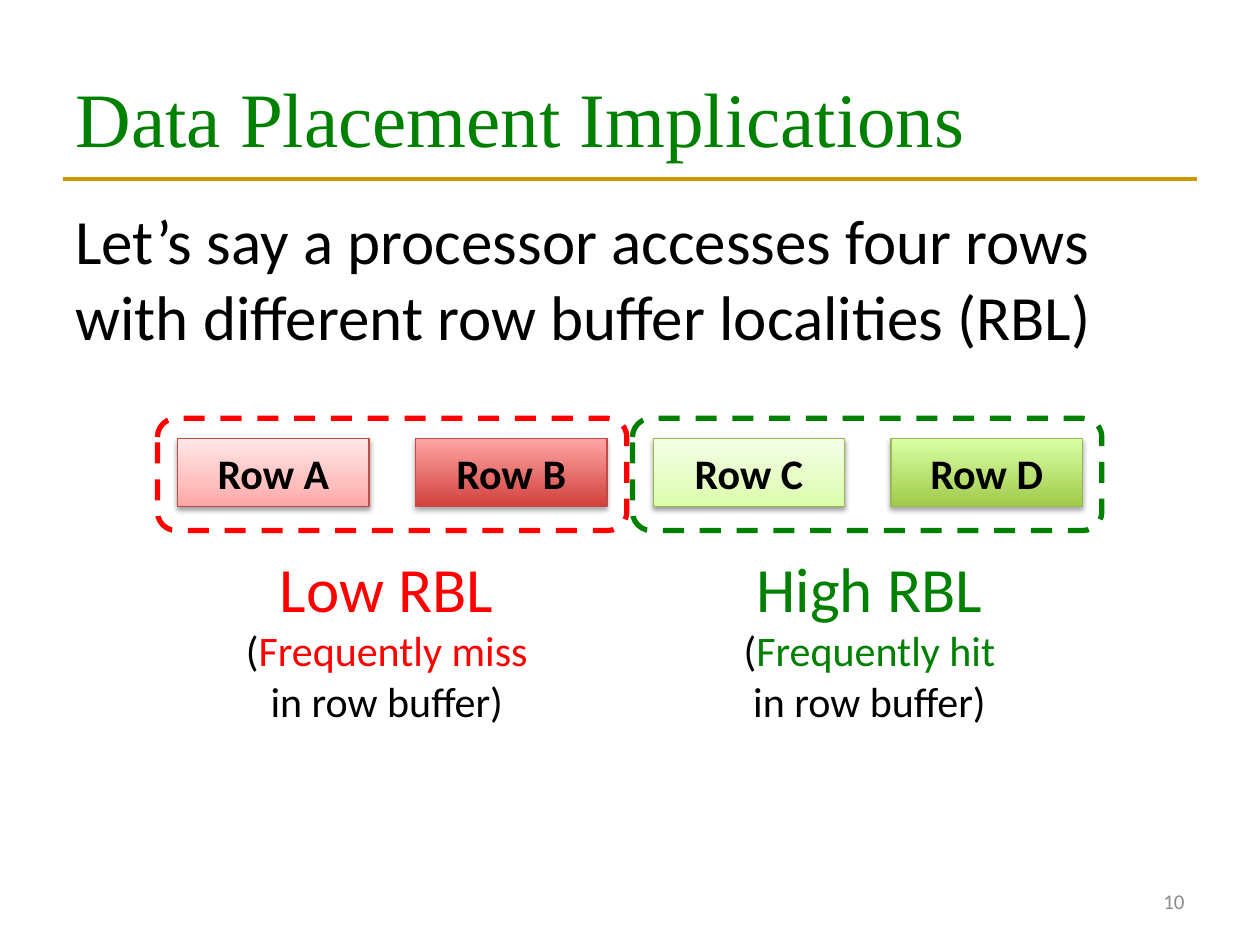
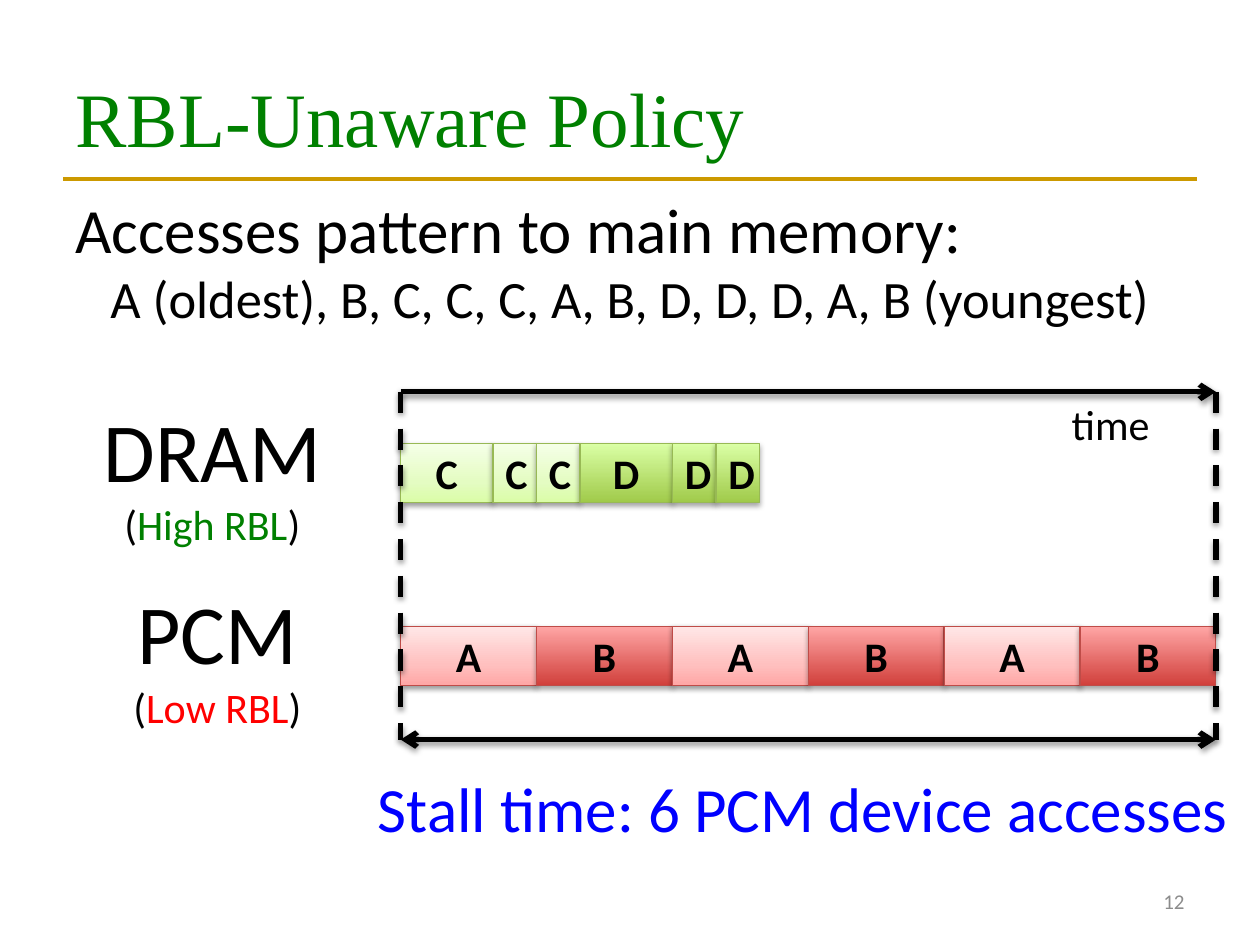
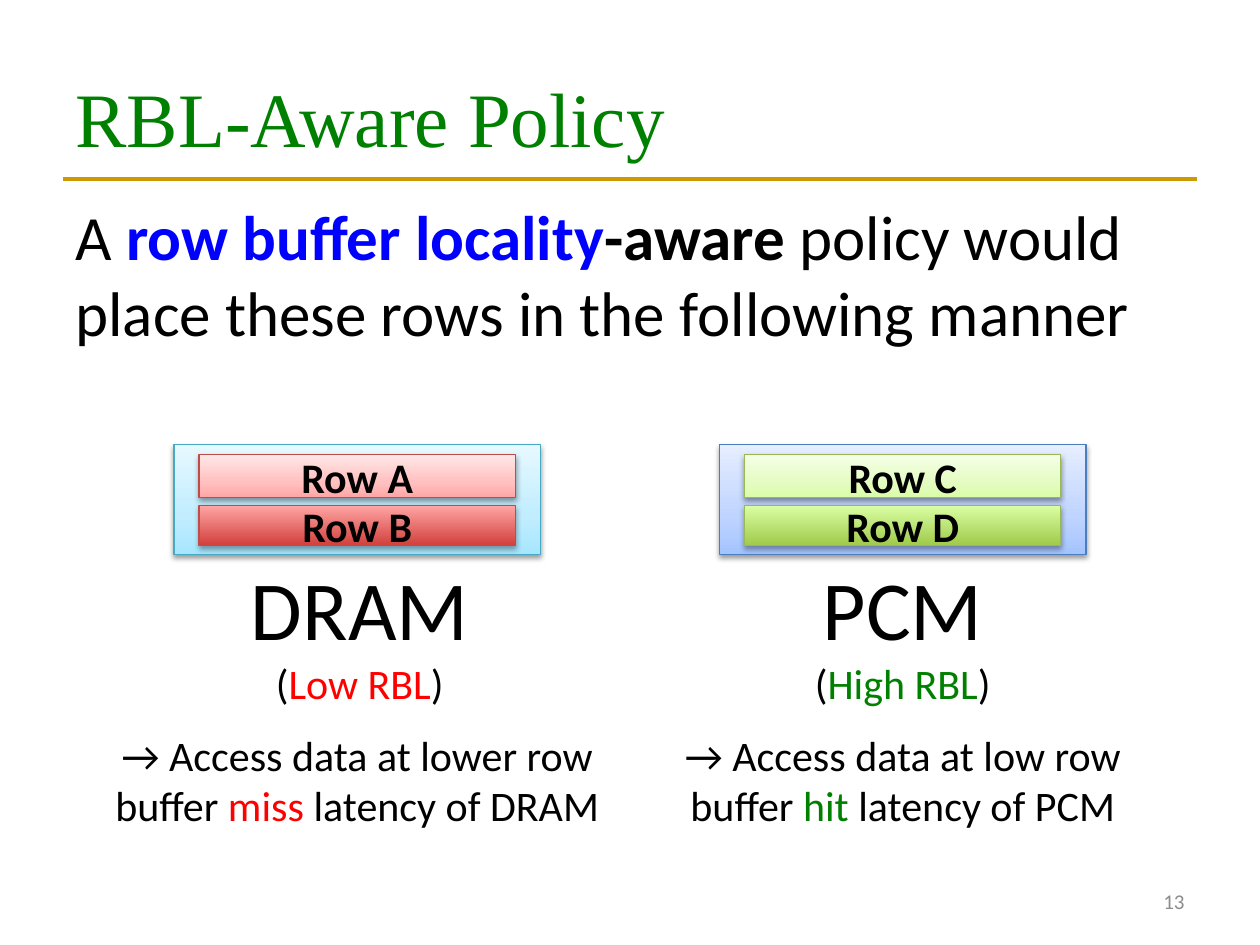
from itertools import accumulate

from lxml.etree import SubElement
from pptx import Presentation
from pptx.dml.color import RGBColor
from pptx.enum.dml import MSO_LINE
from pptx.enum.shapes import MSO_CONNECTOR, MSO_SHAPE
from pptx.enum.text import MSO_ANCHOR, MSO_AUTO_SIZE, PP_ALIGN
from pptx.oxml.ns import qn
from pptx.util import Inches, Pt

COLS, ROWS = 100, 75
CELL = Inches(10) // COLS

COLORS = {
    "text": "000000", "green": "008000", "red": "FF0000", "blue": "0000FF",
    "gold": "CC9900", "gray": "8C8C8C",
    "red line": "BF4C48", "green line": "98B955", "cyan line": "46AAC5", "blue line": "4B7EBC",
}
SOFT, STRONG = (38, 1.6), (35, 1.8)
STYLES = {
    "A": ("red line", SOFT, {0: "FFA6A5", 35: "FFC0BF", 100: "FFE7E7"}),
    "B": ("red line", STRONG, {0: "D1403C", 100: "FFA6A5"}),
    "C": ("green line", SOFT, {0: "DAFDA7", 35: "E4FCC2", 100: "F5FFE7"}),
    "D": ("green line", STRONG, {0: "A0CA4A", 100: "DAFFA5"}),
    "DRAM": ("cyan line", SOFT, {0: "A7E6FF", 35: "C1EDFF", 100: "E7F8FF"}),
    "PCM": ("blue line", SOFT, {0: "A4C4FF", 35: "BFD4FF", 100: "E6EEFF"}),
}
LEFT, CENTER, RIGHT = PP_ALIGN.LEFT, PP_ALIGN.CENTER, PP_ALIGN.RIGHT


def cells(*lengths):
    """Turn grid cells into slide lengths."""
    return [round(n * CELL) for n in lengths]


def rgb(name):
    """Look up a named colour."""
    return RGBColor.from_string(COLORS[name])


def write(p, text, size=24, color="text", bold=False, font="Calibri", align=None):
    """Append formatted text to a paragraph, breaking lines at newlines."""
    if align is not None:
        p.alignment = align
    for i, line in enumerate(text.split("\n")):
        if i:
            p.add_line_break()
        if line:
            r = p.add_run()
            r.text = line
            r.font.size, r.font.bold, r.font.name = Pt(size), bold, font
            r.font.color.rgb = rgb(color)


def add_text(sp_tree, at, paragraphs, align=LEFT, wrap=False, anchor=MSO_ANCHOR.TOP):
    """Add a text box of paragraphs, each a list of (text, format) runs."""
    tf = sp_tree.add_textbox(*cells(*at)).text_frame
    tf.word_wrap, tf.vertical_anchor = wrap, anchor
    tf.auto_size = MSO_AUTO_SIZE.SHAPE_TO_FIT_TEXT
    for i, runs in enumerate(paragraphs):
        p = tf.add_paragraph() if i else tf.paragraphs[0]
        for text, style in runs:
            write(p, text, align=align, **style)


def add_shadow(s, strength=None):
    """Replace the theme shadow with none or with a soft drop shadow."""
    effects = SubElement(s._element.spPr, qn("a:effectLst"))
    if strength:
        alpha, distance = strength
        shadow = SubElement(effects, qn("a:outerShdw"), blurRad=str(Pt(3.1)),
                            dist=str(Pt(distance)), dir="5400000", rotWithShape="0")
        color = SubElement(shadow, qn("a:srgbClr"), val="000000")
        SubElement(color, qn("a:alpha"), val=str(alpha * 1000))


def add_block(s, at, style, label=""):
    """Add a gradient rectangle with a bold label."""
    line, strength, stops = STYLES[style]
    sp = s.shapes.add_shape(MSO_SHAPE.RECTANGLE, *cells(*at))
    sp.fill.gradient()
    sp.fill.gradient_angle = 90
    stop_list = sp._element.spPr.find(".//" + qn("a:gsLst"))
    for old in list(stop_list):
        stop_list.remove(old)
    for pos, color in stops.items():
        stop = SubElement(stop_list, qn("a:gs"), pos=str(pos * 1000))
        SubElement(stop, qn("a:srgbClr"), val=color)
    sp.line.color.rgb, sp.line.width = rgb(line), Pt(0.75)
    add_shadow(sp, strength)
    if label:
        write(sp.text_frame.paragraphs[0], label, bold=True, align=CENTER)


def add_group_frame(s, at, color):
    """Add a dashed rounded frame around a pair of rows."""
    sp = s.shapes.add_shape(MSO_SHAPE.ROUNDED_RECTANGLE, *cells(*at))
    sp.fill.background()
    sp.line.color.rgb, sp.line.width = rgb(color), Pt(3)
    sp.line.dash_style = MSO_LINE.DASH
    add_shadow(sp)


def add_line(s, ends, color="text", width=3, dash=False, arrows=(), strength=SOFT):
    """Add a straight line with optional dashes and arrowheads."""
    c = s.shapes.add_connector(MSO_CONNECTOR.STRAIGHT, *cells(*ends))
    c.line.color.rgb, c.line.width = rgb(color), Pt(width)
    if dash:
        c.line.dash_style = MSO_LINE.DASH
    for end in arrows:
        SubElement(c.line._get_or_add_ln(), qn(f"a:{end}End"), type="arrow")
    add_shadow(c, strength)


def add_slide(prs, title, number):
    """Add a slide with the shared title, rule and page number."""
    s = prs.slides.add_slide(prs.slide_layouts[5])
    sp = s.shapes.title
    sp.left, sp.top, sp.width, sp.height = cells(5, 3, 90, 12.5)
    sp.text_frame.vertical_anchor = MSO_ANCHOR.MIDDLE
    sp.text_frame.auto_size = MSO_AUTO_SIZE.NONE
    write(sp.text_frame.paragraphs[0], title, size=44, color="green",
          font="Times New Roman", align=LEFT)
    add_line(s, (5, 14.2, 95, 14.2), color="gold", width=2.25, strength=None)
    add_text(s.shapes, (71.7, 69.5, 23.3, 4), [[(str(number), {"size": 12, "color": "gray"})]],
             align=RIGHT, wrap=True, anchor=MSO_ANCHOR.MIDDLE)
    return s


def add_memory_label(s, at, name, locality, color):
    """Name a memory and the row buffer locality it holds."""
    runs = [(f"{name}\n", {"size": 48}), ("(", {}), (locality, {"color": color}), (")", {})]
    add_text(s.shapes, at, [runs], align=CENTER)


def placement_slide(prs):
    """Show the four rows grouped by locality."""
    s = add_slide(prs, "Data Placement Implications", 10)
    intro = "Let’s say a processor accesses four rows\nwith different row buffer localities (RBL)"
    add_text(s.shapes, (5, 15.5, 83.9, 13.1), [[(intro, {"size": 36})]])
    for i, row in enumerate("ABCD"):
        add_block(s, (14.1 + i * 18.87, 34.8, 15.2, 5.4), row, f"Row {row}")
    groups = [("Low", "miss", "red", 12.5, 18.4, 24.6), ("High", "hit", "green", 50.2, 57.9, 22.2)]
    for level, result, color, frame_x, text_x, text_w in groups:
        add_group_frame(s, (frame_x, 33.2, 37.25, 8.9), color)
        add_text(s.shapes, (text_x, 43.1, text_w, 15.1), [
            [(f"{level} RBL", {"size": 36, "color": color})],
            [("(", {}), (f"Frequently {result}", {"color": color})],
            [("in row buffer)", {})],
        ], align=CENTER)


def unaware_slide(prs):
    """Show the access timeline of both memories."""
    s = add_slide(prs, "RBL-Unaware Policy", 12)
    start, end, top, bottom = 31.8, 96.5, 31.1, 58.7
    slot = (end - start) / 6
    miss, hit = slot * 0.68, slot * 0.32
    add_memory_label(s, (7.1, 31.1, 19.5, 13.1), "DRAM", "High RBL", "green")
    add_memory_label(s, (9.5, 45.6, 15.5, 13.1), "PCM", "Low RBL", "red")
    timelines = [("CCCDDD", [miss, hit, hit] * 2, 35.2), ("ABABAB", [slot] * 6, 49.7)]
    for rows, widths, y in timelines:
        for row, width, x in zip(rows, widths, accumulate(widths, initial=start)):
            add_block(s, (x, y, width, 4.7), row, row)
    add_text(s.shapes, (5, 14.6, 90, 12.3), [[("Accesses pattern to main memory:", {"size": 36})]],
             wrap=True)
    p = s.shapes[-1].text_frame.add_paragraph()
    write(p, "A (oldest), B, C, C, C, A, B, D, D, D, A, B (youngest)", size=30, align=CENTER)
    add_text(s.shapes, (29, 60.6, 70.2, 7.1),
             [[("Stall time: 6 PCM device accesses", {"size": 36, "color": "blue"})]])
    for x in (start, end):
        add_line(s, (x, top, x, bottom), dash=True)
    add_line(s, (start, bottom, end, bottom), arrows=("head", "tail"))
    add_line(s, (start, top, end, top), arrows=("tail",))
    add_text(s.shapes, (84, 31.1, 8.3, 5), [[("time", {})]], align=CENTER)


def aware_slide(prs):
    """Show which rows each memory holds under the aware policy."""
    s = add_slide(prs, "RBL-Aware Policy", 13)
    add_text(s.shapes, (5, 15.2, 86.8, 13.1), [[
        ("A ", {"size": 36}),
        ("row buffer locality", {"size": 36, "color": "blue", "bold": True}),
        ("-aware ", {"size": 36, "bold": True}),
        ("policy would\nplace these rows in the following manner", {"size": 36}),
    ]])
    memories = [
        ("DRAM", "Low RBL", "red", "AB", "lower", "miss", 13.8, (18.8, 19.5), (6.6, 43.5)),
        ("PCM", "High RBL", "green", "CD", "low", "hit", 57.1, (63.6, 16.1), (51.5, 40.3)),
    ]
    for name, locality, color, rows, level, result, x, label, note in memories:
        add_memory_label(s, (label[0], 43.7, label[1], 13.1), name, locality, color)
        add_text(s.shapes, (note[0], 57.4, note[1], 9.1), [[
            (f"→ Access data at {level} row buffer ", {}),
            (result, {"color": color}),
            (f" latency of {name}", {}),
        ]], align=CENTER, wrap=True)
        add_block(s, (x, 35.3, 29.1, 8.7), name)
        for row, y, height in zip(rows, (36.1, 40.1), (3.4, 3.2)):
            add_block(s, (x + 2, y, 25.1, height), row, f"Row {row}")


def main():
    """Build the three slides and save them."""
    prs = Presentation()
    prs.slide_width, prs.slide_height = COLS * CELL, ROWS * CELL
    placement_slide(prs)
    unaware_slide(prs)
    aware_slide(prs)
    prs.save("out.pptx")


if __name__ == "__main__":
    main()
